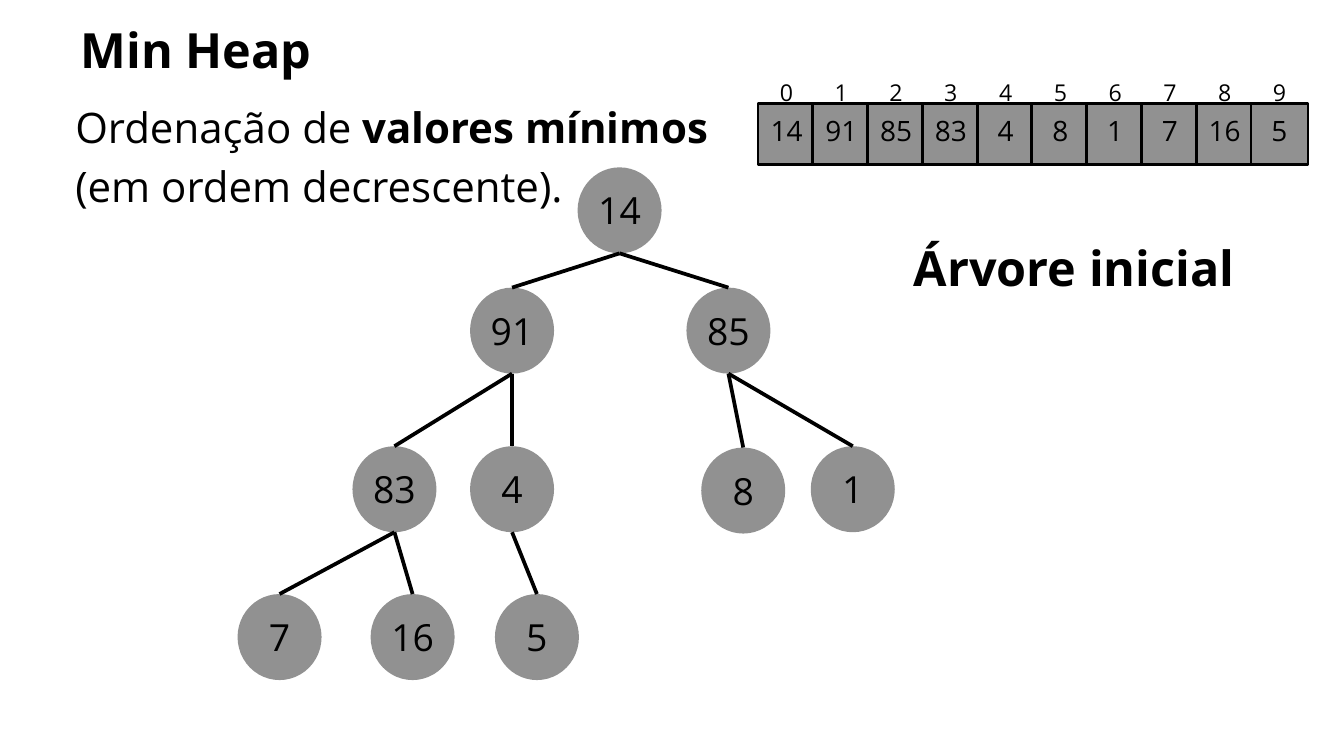
from lxml import etree
from pptx import Presentation
from pptx.dml.color import RGBColor
from pptx.enum.shapes import MSO_CONNECTOR as Connector, MSO_SHAPE as Shape
from pptx.enum.text import MSO_ANCHOR as Anchor, MSO_AUTO_SIZE as AutoSize, PP_ALIGN as Align
from pptx.oxml.ns import qn
from pptx.util import Inches, Pt

COLORS = {"ink": "000000", "node": "919191", "page": "FFFFFF"}
FONT = "Open Sans"
LINE_RATIO = 1.4

TITLE = "Min Heap"
SUBTITLE = "Árvore inicial"
INTRO = [
    [("Ordenação de ", False), ("valores mínimos", True)],
    [("(em ordem decrescente).", False)],
]
HEAP = [14, 91, 85, 83, 4, 8, 1, 7, 16, 5]

# Centre x and top y of each tree node, in heap order
NODE_PLACES = [
    (9.22, 2.49),
    (7.62, 4.28), (10.84, 4.28),
    (5.87, 6.64), (7.62, 6.64), (11.06, 6.66), (12.69, 6.64),
    (4.16, 8.84), (6.14, 8.84), (7.99, 8.84),
]
NODE_WIDTH, NODE_HEIGHT = 1.25, 1.28
ARRAY_LEFT, ARRAY_TOP, ARRAY_STEP = 11.28, 1.54, 0.815
CELL_WIDTH, CELL_HEIGHT = 0.85, 0.91
INDEX_WIDTH, INDEX_HEIGHT = 0.2, 0.45


def color(name):
    return RGBColor.from_string(COLORS[name])


def place(shape, left, top, width, height):
    shape.left, shape.top = Inches(left), Inches(top)
    shape.width, shape.height = Inches(width), Inches(height)


def write(shape, lines, size, align=Align.CENTER, anchor=Anchor.TOP, lift=0):
    """Write lines of (text, bold) spans; lift is the bottom inset in inches."""
    frame = shape.text_frame
    frame.auto_size = AutoSize.NONE
    frame.word_wrap = False
    frame.vertical_anchor = anchor
    frame.margin_left = frame.margin_right = frame.margin_top = 0
    frame.margin_bottom = Inches(lift)
    for number, spans in enumerate(lines):
        para = frame.paragraphs[0] if number == 0 else frame.add_paragraph()
        para.alignment = align
        para.line_spacing = Pt(round(size * LINE_RATIO, 1))
        para.space_before = para.space_after = Pt(0)
        for text, bold in spans:
            span = para.add_run()
            span.text = text
            span.font.name = FONT
            span.font.size = Pt(size)
            span.font.bold = bold
            span.font.color.rgb = color("ink")


def remove_bullets(shape):
    for para in shape.text_frame.paragraphs:
        properties = para._p.get_or_add_pPr()
        properties.set("marL", "0")
        properties.set("indent", "0")
        etree.SubElement(properties, qn("a:buNone"))


def add_value(page, kind, box, value, size, lift, outline=None):
    shape = page.shapes.add_shape(kind, *map(Inches, box))
    shape.shadow.inherit = False
    shape.fill.solid()
    shape.fill.fore_color.rgb = color("node")
    if outline:
        shape.line.color.rgb = color("ink")
        shape.line.width = Pt(outline)
    else:
        shape.line.fill.background()
    write(shape, [[(str(value), False)]], size, anchor=Anchor.MIDDLE, lift=lift)


def add_text(page, box, text, size, bold=False):
    shape = page.shapes.add_textbox(*map(Inches, box))
    write(shape, [[(text, bold)]], size)


def add_branch(page, start, end):
    branch = page.shapes.add_connector(Connector.STRAIGHT, *map(Inches, start + end))
    branch.line.color.rgb = color("ink")
    branch.line.width = Pt(4)
    etree.SubElement(branch._element.spPr, qn("a:effectLst"))


def add_array(page):
    for index, value in enumerate(HEAP):
        left = ARRAY_LEFT + index * ARRAY_STEP
        add_value(page, Shape.RECTANGLE, (left, ARRAY_TOP, CELL_WIDTH, CELL_HEIGHT),
                  value, 30, lift=0.19, outline=3)
        index_left = left + (CELL_WIDTH - INDEX_WIDTH) / 2
        add_text(page, (index_left, ARRAY_TOP - INDEX_HEIGHT, INDEX_WIDTH, INDEX_HEIGHT),
                 str(index), 24.8)


def add_tree(page):
    for value, (center, top) in zip(HEAP, NODE_PLACES):
        add_value(page, Shape.OVAL, (center - NODE_WIDTH / 2, top, NODE_WIDTH, NODE_HEIGHT),
                  value, 40, lift=0.12)
    for index, child in enumerate(NODE_PLACES[1:], start=1):
        center, top = NODE_PLACES[(index - 1) // 2]
        add_branch(page, child, (center, top + NODE_HEIGHT))


def main():
    deck = Presentation()
    deck.slide_width, deck.slide_height = Inches(20), Inches(11.25)
    page = deck.slides.add_slide(deck.slide_layouts[1])
    page.background.fill.solid()
    page.background.fill.fore_color.rgb = color("page")

    title, intro = page.placeholders
    place(title, 1.2, 0.15, 3.44, 0.97)
    write(title, [[(TITLE, True)]], 52)
    place(intro, 1.12, 1.39, 9.44, 1.72)
    write(intro, INTRO, 45, align=Align.LEFT)
    remove_bullets(intro)

    add_array(page)
    add_tree(page)
    add_text(page, (13.59, 3.39, 4.79, 0.97), SUBTITLE, 52, bold=True)
    deck.save("out.pptx")


if __name__ == "__main__":
    main()
